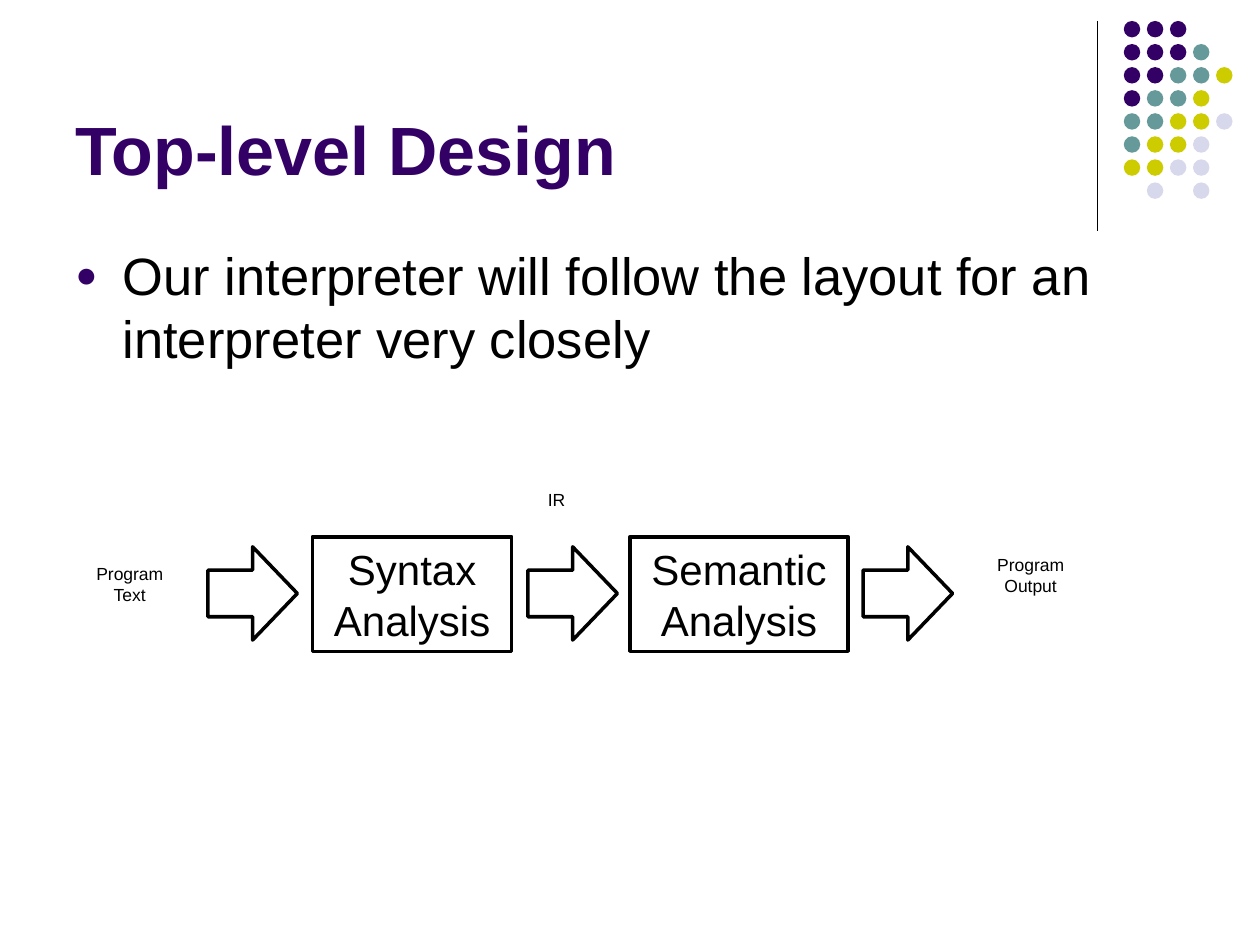
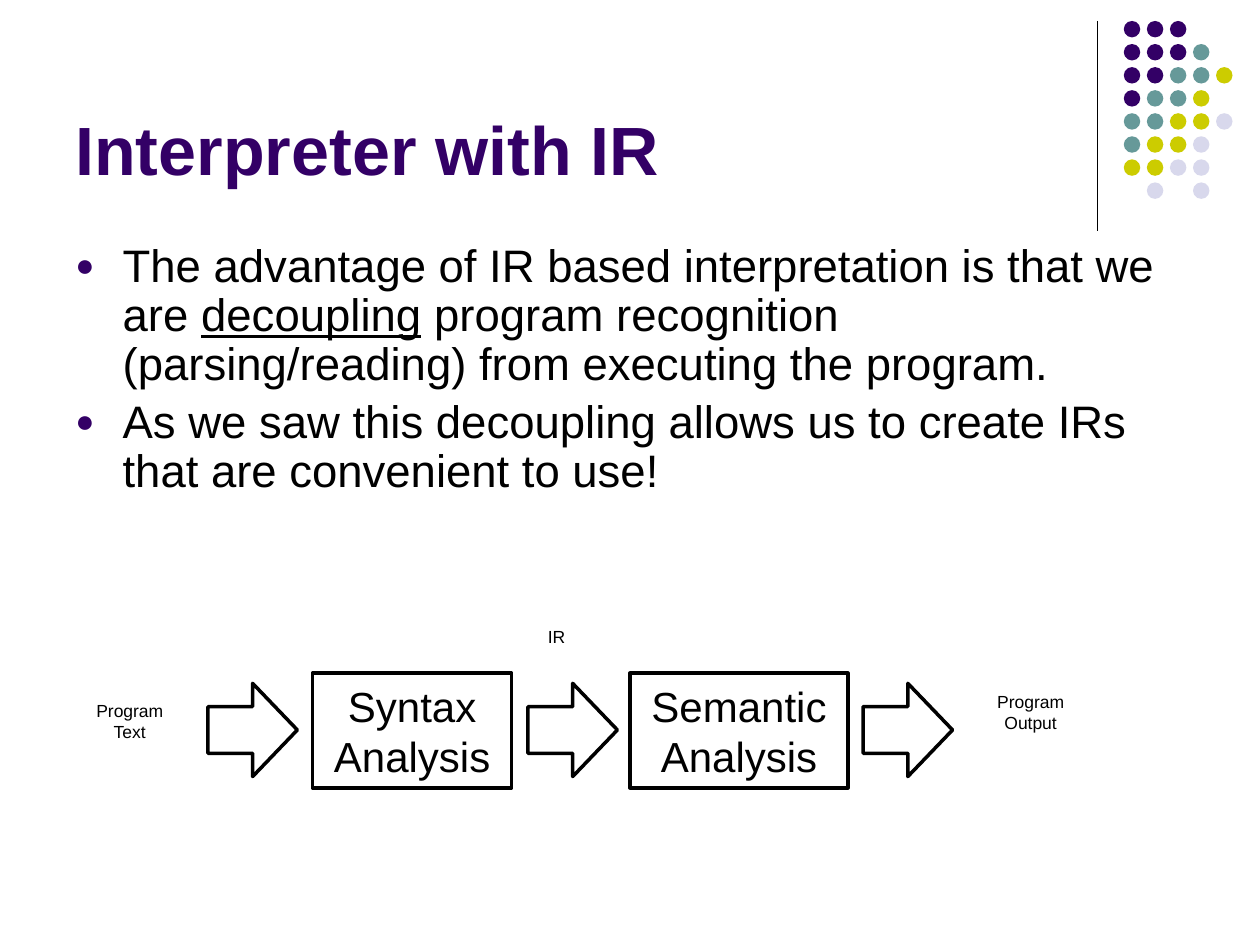
"""Build two slides on the design of an interpreter."""
from lxml.etree import SubElement
from pptx import Presentation
from pptx.dml.color import RGBColor
from pptx.enum.shapes import MSO_CONNECTOR, MSO_SHAPE
from pptx.enum.text import MSO_ANCHOR, PP_ALIGN
from pptx.oxml.ns import qn
from pptx.util import Pt

PURPLE = RGBColor(0x33, 0x00, 0x66)
TEAL = RGBColor(0x66, 0x99, 0x99)
LIME = RGBColor(0xCC, 0xCC, 0x00)
PALE = RGBColor(0xD8, 0xD8, 0xEC)
BLACK = RGBColor(0, 0, 0)
WHITE = RGBColor(255, 255, 255)
FONT = "Arial"

DOTS = ["PPP", "PPPT", "PPTTL", "PTTL", "TTLLV", "TLLV", "LLVV", " V V"]
TINTS = {"P": PURPLE, "T": TEAL, "L": LIME, "V": PALE}
PITCH = 13.18

STAGES = [("Syntax\nAnalysis", 178.6, 113.8), ("Semantic\nAnalysis", 360, 124.6)]
ARROWS = [118.8, 301.7, 493.2]
LABELS = [
    ("Program\vText", 36, 11.5, 76.3, PP_ALIGN.CENTER),
    ("IR", 306, -30.7, 31, PP_ALIGN.LEFT),
    ("Program\nOutput", 550.8, 6.5, 76.3, PP_ALIGN.CENTER),
]

SLIDES = [
    ("Top-level Design", 30, 1, 306.7, [
        ["Our interpreter will follow the layout for an interpreter very closely"],
    ]),
    ("Interpreter with IR", 26, 0.9, 384.7, [
        ["The advantage of IR based interpretation is that we are ", "decoupling",
         " program recognition (parsing/reading) from executing the program."],
        ["As we saw this decoupling allows us to create IRs that are convenient to use!"],
    ]),
]


def add_form(slide, kind, left, top, width, height, fill, line=None):
    """Draw a flat preset shape."""
    form = slide.shapes.add_shape(kind, Pt(left), Pt(top), Pt(width), Pt(height))
    form.shadow.inherit = False
    form.fill.solid()
    form.fill.fore_color.rgb = fill
    if line is None:
        form.line.fill.background()
    else:
        form.line.color.rgb = line
        form.line.width = Pt(2)
    return form


def write(shape, text, size, align, color=BLACK, bold=False):
    """Fill a shape with text in one style."""
    frame = shape.text_frame
    frame.word_wrap = True
    frame.text = text
    for para in frame.paragraphs:
        para.alignment = align
        para.font.name = FONT
        para.font.size = Pt(size)
        para.font.bold = bold
        para.font.color.rgb = color
    return frame


deck = Presentation()
deck.slide_width, deck.slide_height = Pt(720), Pt(540)

for title, size, spacing, top, points in SLIDES:
    slide = deck.slides.add_slide(deck.slide_layouts[6])
    shapes = slide.shapes

    rule = shapes.add_connector(MSO_CONNECTOR.STRAIGHT, Pt(627), Pt(12), Pt(627), Pt(132))
    rule.line.color.rgb = BLACK
    rule.line.width = Pt(0.75)
    SubElement(rule._element.spPr, qn("a:effectLst"))

    for row, marks in enumerate(DOTS):
        for col, mark in enumerate(marks):
            if mark in TINTS:
                add_form(slide, MSO_SHAPE.OVAL, 642.2 + col * PITCH, 12 + row * PITCH,
                         9.4, 9.4, TINTS[mark])

    head = shapes.add_textbox(Pt(36), Pt(9.4), Pt(594), Pt(102.2))
    write(head, title, 39, PP_ALIGN.LEFT, PURPLE, True).vertical_anchor = MSO_ANCHOR.BOTTOM

    body = shapes.add_textbox(Pt(36), Pt(135.4), Pt(648), Pt(147)).text_frame
    body.word_wrap = True
    for index, parts in enumerate(points):
        para = body.add_paragraph() if index else body.paragraphs[0]
        para.line_spacing = spacing
        if index:
            para.space_before = Pt(0.2 * size)
        props = para._p.get_or_add_pPr()
        props.set("marL", str(Pt(27)))
        props.set("indent", str(Pt(-27)))
        tint = SubElement(props, qn("a:buClr"))
        SubElement(tint, qn("a:srgbClr"), val=str(PURPLE))
        SubElement(props, qn("a:buSzPct"), val="70000")
        SubElement(props, qn("a:buFont"), typeface=FONT)
        SubElement(props, qn("a:buChar"), char="●")
        para.font.name = FONT
        para.font.size = Pt(size)
        para.font.color.rgb = BLACK
        for part in parts:
            run = para.add_run()
            run.text = part
            if part == "decoupling":
                run.font.underline = True

    for text, left, width in STAGES:
        stage = add_form(slide, MSO_SHAPE.RECTANGLE, left, top, width, 65.5, WHITE, BLACK)
        write(stage, text, 24, PP_ALIGN.CENTER).vertical_anchor = MSO_ANCHOR.MIDDLE
    for left in ARROWS:
        add_form(slide, MSO_SHAPE.RIGHT_ARROW, left, top + 5.8, 51.1, 53.3, WHITE, BLACK)
    for text, left, shift, width, align in LABELS:
        label = shapes.add_textbox(Pt(left), Pt(top + shift), Pt(width), Pt(34))
        write(label, text, 10, align)

deck.save("out.pptx")
